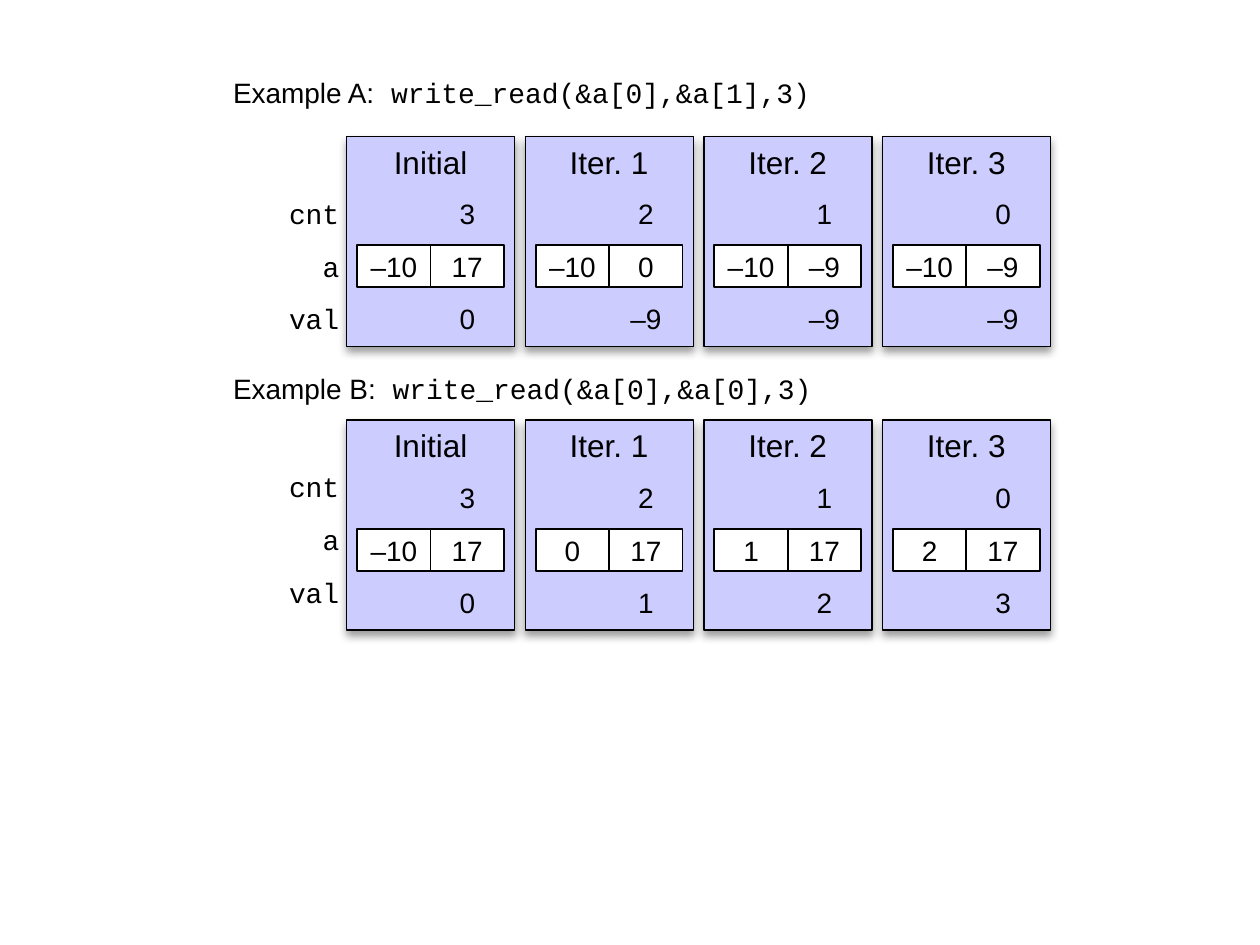
"""Build a slide tracing two write_read calls over three loop iterations."""
from dataclasses import dataclass

import pptx
import pptx.dml.color
import pptx.enum.shapes
import pptx.enum.text
import pptx.oxml
import pptx.oxml.ns
import pptx.util
from pptx.util import Cm

SANS, MONO = "Arial", "Courier New"
BLACK, WHITE, LAVENDER = "000000", "FFFFFF", "CCCCFF"
ALIGN = pptx.enum.text.PP_ALIGN
PANEL_LEFT, PANEL_PITCH, PANEL_WIDTH, PANEL_HEIGHT = 6.99, 3.6, 3.39, 4.23
PANEL_MARGIN, CELL_WIDTH, CELL_HEIGHT = 0.21, 1.48, 0.85
FIRST_ROW, ROW_PITCH = 1.13, 1.06
STEP_NAMES = ["Initial", "Iter. 1", "Iter. 2", "Iter. 3"]
VARIABLES = ["cnt", "a", "val"]
SHADOW = (
    f"<a:effectLst {pptx.oxml.ns.nsdecls('a')}>"
    '<a:outerShdw blurRad="63500" dist="38100" dir="5400000" rotWithShape="0">'
    '<a:srgbClr val="000000"><a:alpha val="40000"/></a:srgbClr>'
    "</a:outerShdw></a:effectLst>"
)


@dataclass
class State:
    """Values of the variables after one step."""
    cnt: str
    a: tuple[str, str]
    val: str


@dataclass
class Example:
    """One call with its trace and vertical positions in centimetres."""
    name: str
    call: str
    caption_top: float
    panel_top: float
    label_top: float
    states: list[State]


EXAMPLES = [
    Example("Example A:", "write_read(&a[0],&a[1],3)", 1.4, 2.75, 3.84, [
        State("3", ("–10", "17"), "0"),
        State("2", ("–10", "0"), "–9"),
        State("1", ("–10", "–9"), "–9"),
        State("0", ("–10", "–9"), "–9"),
    ]),
    Example("Example B:", "write_read(&a[0],&a[0],3)", 7.37, 8.47, 9.35, [
        State("3", ("–10", "17"), "0"),
        State("2", ("0", "17"), "1"),
        State("1", ("1", "17"), "2"),
        State("0", ("2", "17"), "3"),
    ]),
]


def color(value: str) -> pptx.dml.color.RGBColor:
    """Turn a hex string into a colour."""
    return pptx.dml.color.RGBColor.from_string(value)


def style_font(font, name: str, size: int = 16) -> None:
    """Set typeface, size and black colour."""
    font.name = name
    font.size = pptx.util.Pt(size)
    font.color.rgb = color(BLACK)


def write(shape, text: str, name: str, size: int, align) -> None:
    """Put one paragraph of text into a shape."""
    para = shape.text_frame.paragraphs[0]
    para.text = text
    para.alignment = align
    style_font(para.font, name, size)


def add_rect(slide, left: float, top: float, width: float, height: float,
             fill: str, line_width: float):
    """Draw a filled rectangle with a black outline."""
    rect = slide.shapes.add_shape(pptx.enum.shapes.MSO_SHAPE.RECTANGLE,
                                  Cm(left), Cm(top), Cm(width), Cm(height))
    rect.shadow.inherit = False
    rect.fill.solid()
    rect.fill.fore_color.rgb = color(fill)
    rect.line.color.rgb = color(BLACK)
    rect.line.width = pptx.util.Pt(line_width)
    return rect


def add_label(slide, left: float, top: float, width: float, height: float,
              text: str, name: str, size: int, align) -> None:
    """Add a wrapping text box with one line of text."""
    box = slide.shapes.add_textbox(Cm(left), Cm(top), Cm(width), Cm(height))
    box.text_frame.word_wrap = True
    write(box, text, name, size, align)


def add_value(slide, left: float, top: float, text: str, framed: bool) -> None:
    """Add a centred value, framed when it is an array element."""
    if framed:
        box = add_rect(slide, left, top, CELL_WIDTH, CELL_HEIGHT, WHITE, 1)
    else:
        box = slide.shapes.add_textbox(Cm(left), Cm(top),
                                       Cm(CELL_WIDTH), Cm(CELL_HEIGHT))
    box.text_frame.word_wrap = False
    box.text_frame.vertical_anchor = pptx.enum.text.MSO_ANCHOR.MIDDLE
    write(box, text, SANS, 16, ALIGN.CENTER)


def add_panel(slide, left: float, top: float, title: str, state: State) -> None:
    """Draw the panel of one step with its values."""
    panel = add_rect(slide, left, top, PANEL_WIDTH, PANEL_HEIGHT, LAVENDER, 0.75)
    properties = panel._element.spPr
    properties.remove(properties.find(pptx.oxml.ns.qn("a:effectLst")))
    properties.append(pptx.oxml.parse_xml(SHADOW))
    first = left + PANEL_MARGIN
    second = first + CELL_WIDTH
    cnt_top, a_top, val_top = (top + FIRST_ROW + row * ROW_PITCH for row in range(3))
    add_label(slide, first, top, 2 * CELL_WIDTH, 1.02, title, SANS, 18, ALIGN.CENTER)
    add_value(slide, second, cnt_top, state.cnt, False)
    add_value(slide, first, a_top, state.a[0], True)
    add_value(slide, second, a_top, state.a[1], True)
    add_value(slide, second, val_top, state.val, False)


def add_caption(slide, example: Example) -> None:
    """Add the example name followed by its call in code type."""
    box = slide.shapes.add_textbox(Cm(4.45), Cm(example.caption_top), Cm(12.22), Cm(0.94))
    box.text_frame.word_wrap = False
    para = box.text_frame.paragraphs[0]
    for text, name in [(example.name, SANS), (f" {example.call}", MONO)]:
        span = para.add_run()
        span.text = text
        style_font(span.font, name)


def add_example(slide, example: Example) -> None:
    """Draw a caption, the variable names and the four panels."""
    add_caption(slide, example)
    for row, variable in enumerate(VARIABLES):
        add_label(slide, 5.5, example.label_top + row * ROW_PITCH, 1.59, 0.94,
                  variable, MONO, 16, ALIGN.RIGHT)
    for column, (title, state) in enumerate(zip(STEP_NAMES, example.states)):
        add_panel(slide, PANEL_LEFT + column * PANEL_PITCH, example.panel_top,
                  title, state)


def main() -> None:
    """Build and save the deck."""
    deck = pptx.Presentation()
    deck.slide_width, deck.slide_height = Cm(25.4), Cm(19.05)
    page = deck.slides.add_slide(deck.slide_layouts[6])
    for example in EXAMPLES:
        add_example(page, example)
    deck.save("out.pptx")


if __name__ == "__main__":
    main()
